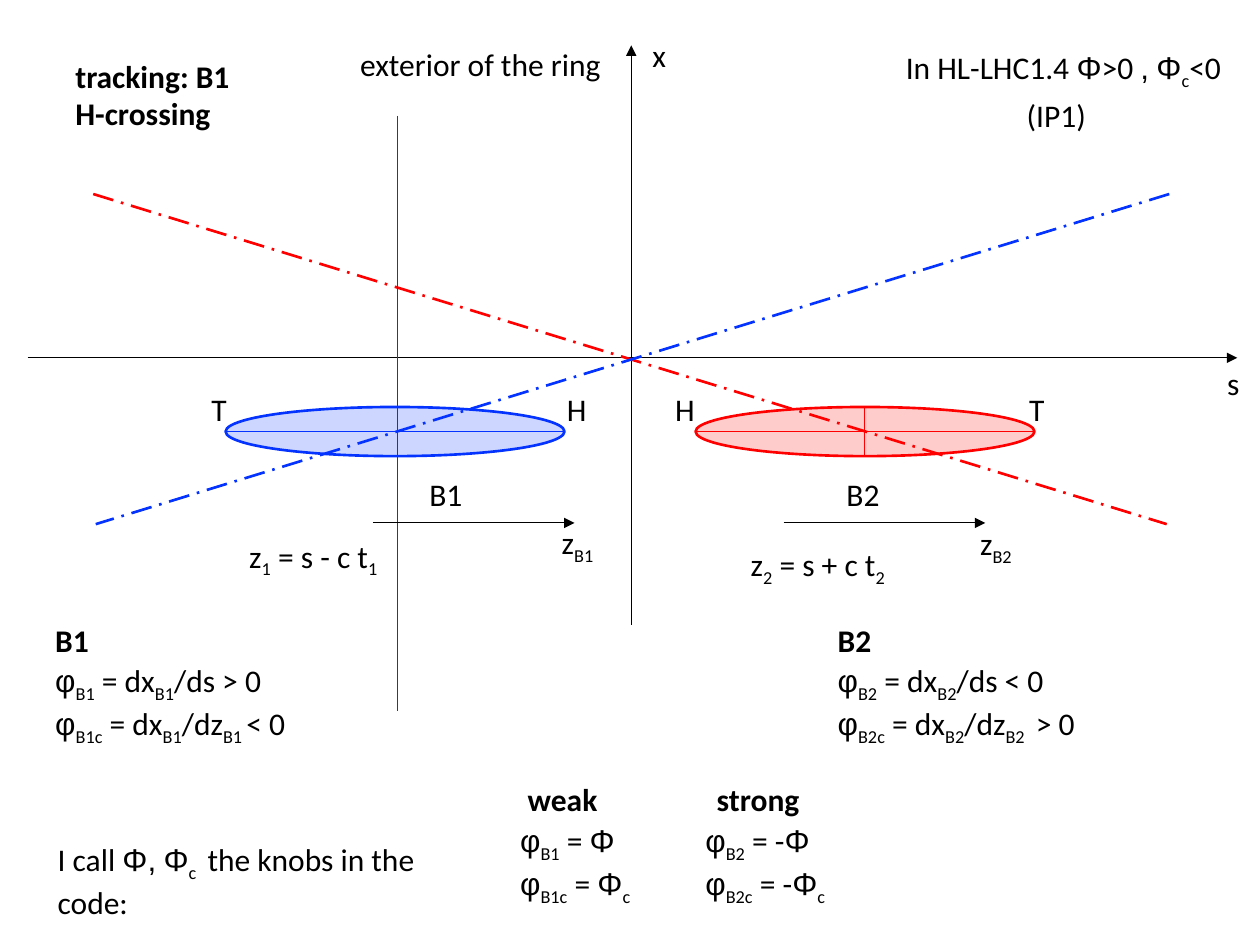
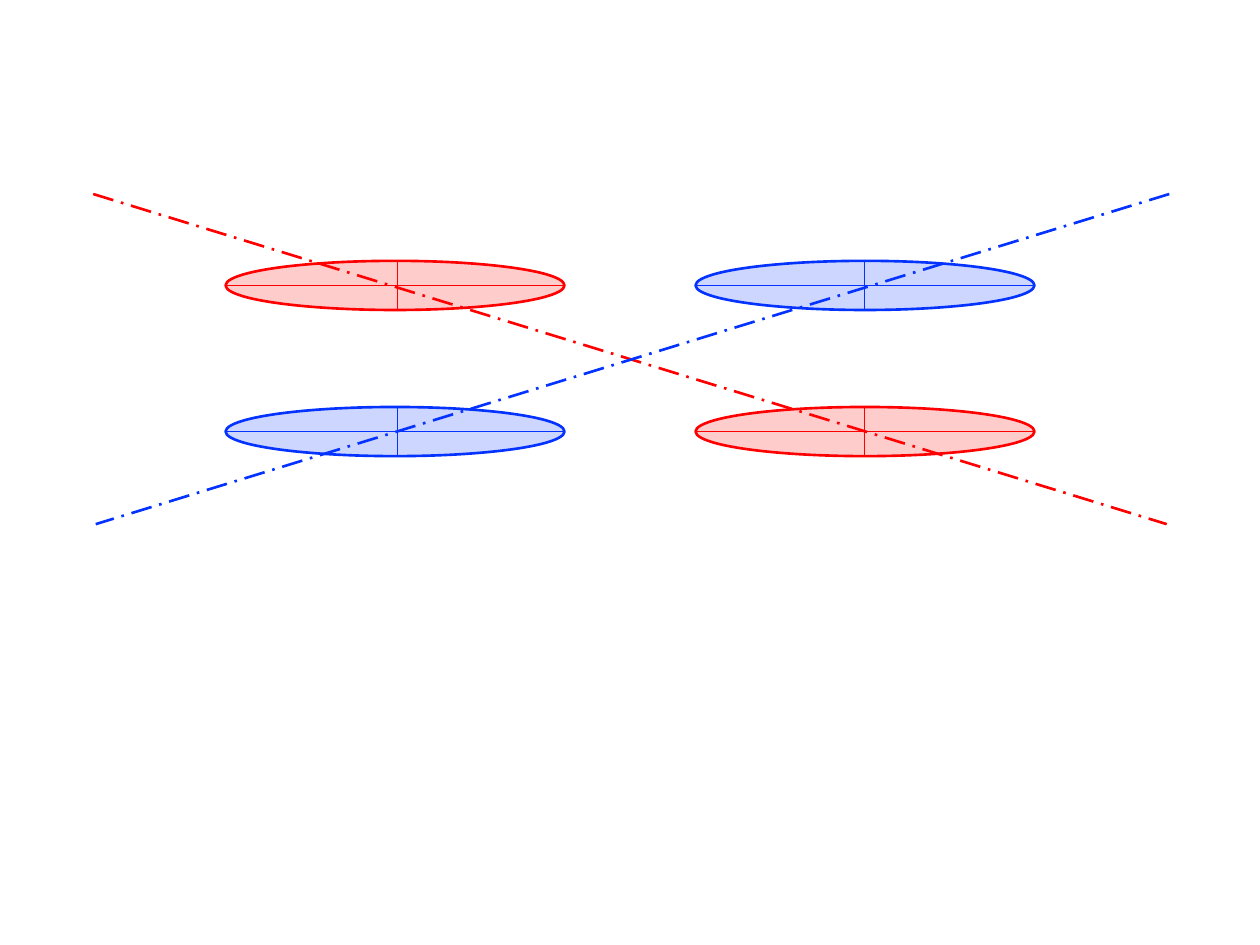
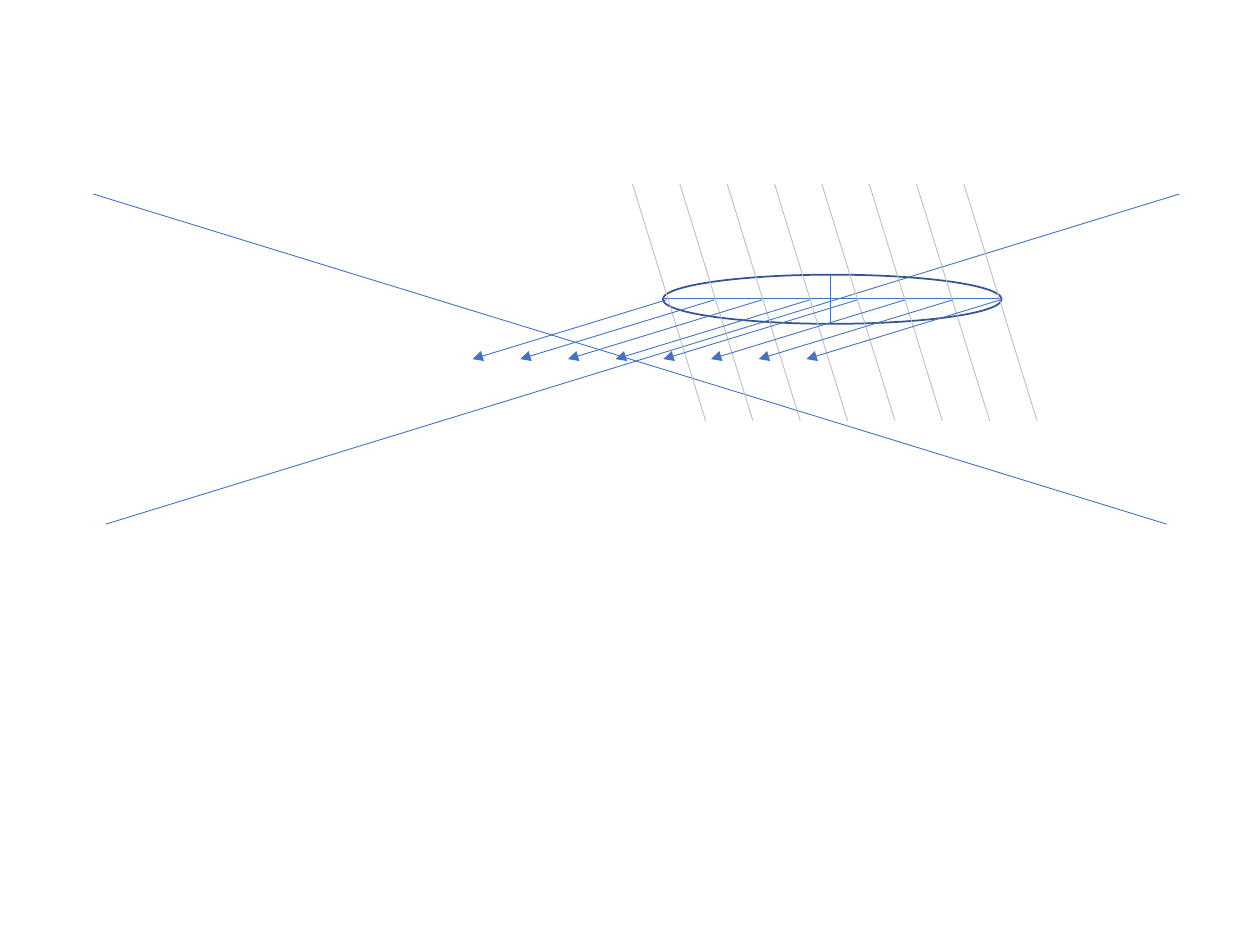
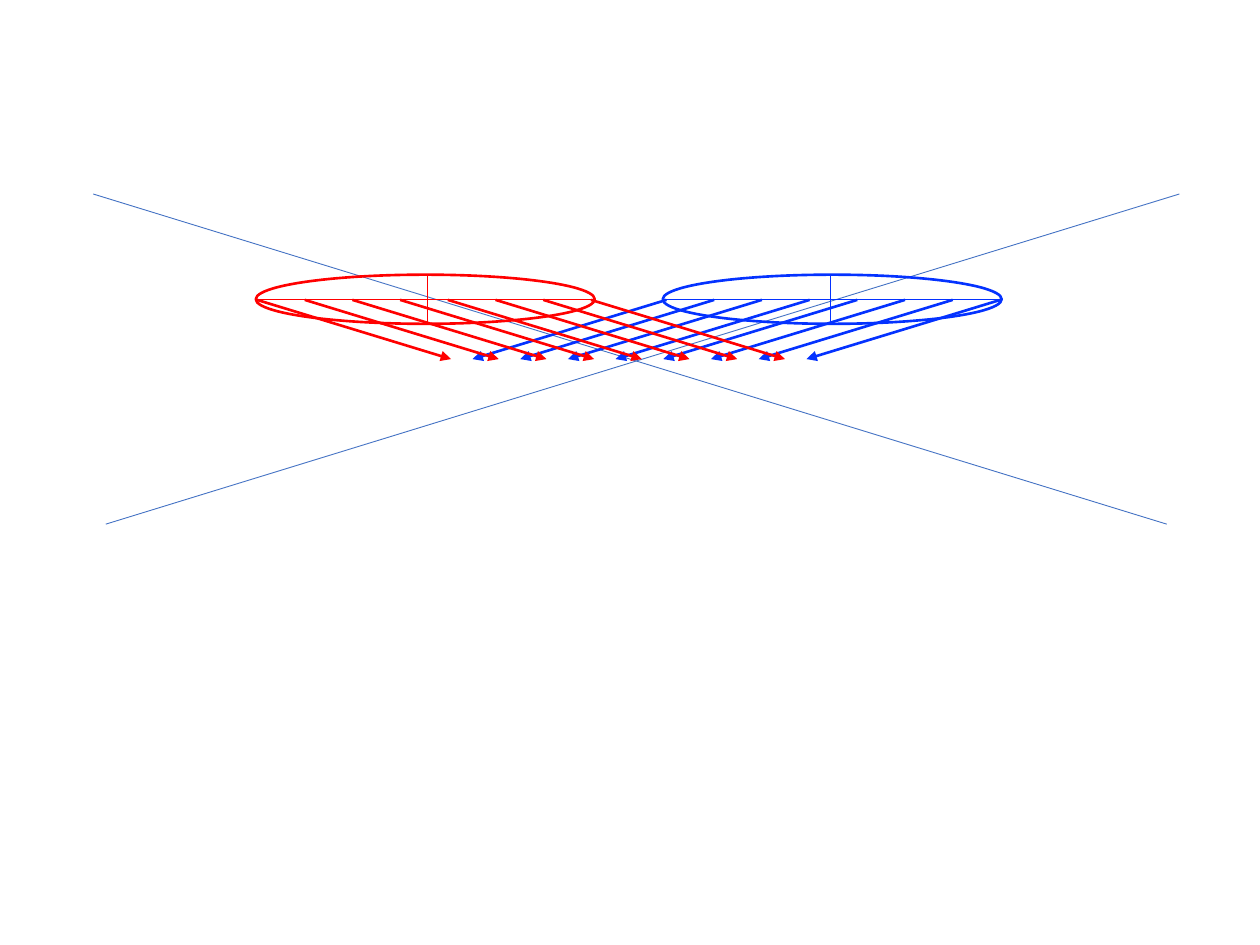
from itertools import groupby

from lxml.etree import SubElement
from pptx import Presentation
from pptx.dml.color import RGBColor
from pptx.enum.dml import MSO_LINE
from pptx.enum.shapes import MSO_CONNECTOR, MSO_SHAPE
from pptx.enum.text import MSO_AUTO_SIZE
from pptx.oxml.ns import qn
from pptx.util import Inches, Pt

COLORS = {
    "black": "000000",
    "red": "FF0000",
    "blue": "0432FF",
    "steel": "4472C4",
    "navy": "325491",
    "grey": "BFBFBF",
}
COLUMNS, ROWS = 10, 7.5
SYMBOLS = "φΦ,"
BUNCH_WIDTH, BUNCH_HEIGHT = 2.69, 0.39
LEFT, RIGHT = 1.79, 5.52        # bunch columns, slides 1 and 2
UPPER, LOWER = 2.07, 3.23       # bunch rows, slides 1 and 2
MIRROR = 9.98                   # sum of a column and its mirrored column


def color(name):
    """Return the named colour."""
    return RGBColor.from_string(COLORS[name])


def spread(first, last, count):
    """Return evenly spaced values from first to last."""
    return [first + (last - first) * i / (count - 1) for i in range(count)]


class Diagram:
    """Holds the shared style and the slide being drawn."""

    font, symbol_font, size = "Calibri", "Arial", 18
    thin, axis, thick = 0.25, 0.5, 1.5

    def __init__(self, presentation):
        self.presentation = presentation
        self.column = presentation.slide_width / COLUMNS
        self.row = presentation.slide_height / ROWS
        self.shapes = None

    def new_slide(self):
        """Start a blank slide."""
        layout = self.presentation.slide_layouts[6]
        self.slide = self.presentation.slides.add_slide(layout)
        self.shapes = self.slide.shapes

    def open_group(self):
        """Draw the next elements into a new group."""
        self.shapes = self.slide.shapes.add_group_shape().shapes

    def close_group(self):
        """Draw the next elements straight onto the slide."""
        self.shapes = self.slide.shapes

    def place(self, *lengths):
        """Turn alternating columns and rows into slide units."""
        return [round(length * (self.row if i % 2 else self.column))
                for i, length in enumerate(lengths)]

    def line(self, start, end, name, width, dash=None, arrow=False):
        """Draw a straight line, dashed or with an arrowhead if asked."""
        connector = self.shapes.add_connector(
            MSO_CONNECTOR.STRAIGHT, *self.place(*start, *end))
        connector.line.color.rgb = color(name)
        connector.line.width = Pt(width)
        if dash:
            connector.line.dash_style = dash
        properties = connector._element.spPr
        if arrow:
            SubElement(properties.find(qn("a:ln")), qn("a:tailEnd"), type="triangle")
        SubElement(properties, qn("a:effectLst"))

    def ellipse(self, left, top, name, width, filled):
        """Draw a bunch outline, with a translucent fill if asked."""
        shape = self.shapes.add_shape(
            MSO_SHAPE.OVAL, *self.place(left, top, BUNCH_WIDTH, BUNCH_HEIGHT))
        shape.shadow.inherit = False
        shape.line.color.rgb = color(name)
        shape.line.width = Pt(width)
        if filled:
            shape.fill.solid()
            shape.fill.fore_color.rgb = color(name)
            fill = shape._element.spPr.find(qn("a:solidFill"))
            SubElement(fill[0], qn("a:alpha"), val="20000")
        else:
            shape.fill.background()

    def bunch(self, left, top, name, cross, span=None, filled=True):
        """Draw an ellipse with its long axis and a cross line at a column."""
        middle = top + BUNCH_HEIGHT / 2
        first, last = span or (top, top + BUNCH_HEIGHT)
        self.ellipse(left, top, name, self.thick, filled)
        self.line((left, middle), (left + BUNCH_WIDTH, middle), name, self.thin)
        self.line((cross, first), (cross, last), name, self.thin)

    def grouped_bunch(self, *arguments, **options):
        """Draw a bunch as a group of its own."""
        self.open_group()
        self.bunch(*arguments, **options)
        self.close_group()

    def beams(self, right, names, width, dash=None):
        """Draw the two crossing beam lines."""
        self.line((0.74, 1.54), (9.26, 4.16), names[0], width, dash)
        self.line((right, 1.54), (right - 8.52, 4.16), names[1], width, dash)

    def kicks(self, name, width, mirrored=False):
        """Draw the eight parallel arrows that leave a bunch."""
        for start in spread(5.29, 7.94, 8):
            ends = start, start - 1.54
            if mirrored:
                ends = [MIRROR - end for end in ends]
            self.line((ends[0], 2.38), (ends[1], 2.85), name, width, arrow=True)

    def run(self, paragraph, text, font, bold, subscript):
        """Add one formatted run."""
        run = paragraph.add_run()
        run.text = text
        run.font.name = font
        run.font.size = Pt(self.size)
        run.font.bold = bold
        run.font.color.rgb = color("black")
        if subscript:
            run._r.get_or_add_rPr().set("baseline", "-25000")

    def text(self, left, top, width, *lines, bold=None, wrap=False):
        """Write lines of text; square brackets mark subscripts."""
        height = 0.4 if len(lines) == 1 else 0.71
        box = self.shapes.add_textbox(*self.place(left, top, width, height))
        frame = box.text_frame
        frame.word_wrap = wrap
        frame.auto_size = MSO_AUTO_SIZE.SHAPE_TO_FIT_TEXT
        for number, line in enumerate(lines):
            paragraph = frame.add_paragraph() if number else frame.paragraphs[0]
            for index, piece in enumerate(line.replace("]", "[").split("[")):
                for symbol, letters in groupby(piece, lambda letter: letter in SYMBOLS):
                    font = self.symbol_font if symbol else self.font
                    self.run(paragraph, "".join(letters), font, bold, index % 2 == 1)


def draw_definitions(diagram):
    """Slide 1: axes, both bunches and the angle conventions."""
    diagram.new_slide()
    diagram.line((5.01, 4.96), (5.01, 0.36), "black", diagram.axis, arrow=True)
    diagram.line((0.22, 2.84), (9.82, 2.84), "black", diagram.axis, arrow=True)
    diagram.beams(9.28, ("red", "blue"), diagram.thick, MSO_LINE.LONG_DASH_DOT)
    diagram.grouped_bunch(LEFT, LOWER, "blue", 3.15, span=(0.92, 5.64))
    diagram.grouped_bunch(RIGHT, LOWER, "red", 6.86)
    for start in (2.96, 6.22):
        diagram.line((start, 4.15), (start + 1.6, 4.15), "black", diagram.axis, arrow=True)

    for left, top, width, *lines in (
        (0.5, 0.4, 1.44, "tracking: B1", "H-crossing"),
        (0.34, 4.88, 0.47, "B1"),
        (6.55, 4.88, 0.47, "B2"),
        (4.09, 6.14, 0.76, "weak"),
        (5.59, 6.14, 0.86, "strong"),
    ):
        diagram.text(left, top, width, *lines, bold=True)

    for left, top, width, line in (
        (5.08, 0.24, 0.31, "x"),
        (9.64, 2.84, 0.31, "s"),
        (3.31, 3.72, 0.47, "B1"),
        (6.62, 3.72, 0.47, "B2"),
        (4.36, 4.1, 0.48, "z[B1]"),
        (7.68, 4.11, 0.48, "z[B2]"),
        (0.36, 6.62, 3.54, "I call Φ, Φ[c ] the knobs in the code:"),
        (2.76, 0.31, 2.13, "exterior of the ring"),
        (7.09, 0.33, 2.79, "In HL-LHC1.4 Φ>0 , Φ[c]<0 "),
        (8.05, 0.71, 0.68, "(IP1)"),
        (1.88, 4.21, 1.3, "z[1] = s - c t[1]"),
        (5.86, 4.28, 1.3, "z[2] = s + c t[2]"),
        (1.58, 3.05, 0.32, "T"),
        (4.4, 3.05, 0.36, "H"),
        (5.26, 3.05, 0.36, "H"),
        (8.07, 3.05, 0.32, "T"),
    ):
        diagram.text(left, top, width, line)

    for left, top, width, *lines in (
        (0.34, 5.2, 2.3, "φ[B1] = dx[B1]/ds > 0", "φ[B1c] = dx[B1]/dz[B1 ]< 0"),
        (6.55, 5.2, 2.23, "φ[B2] = dx[B2]/ds < 0", "φ[B2c] = dx[B2]/dz[B2 ] > 0"),
        (4.03, 6.47, 2.3, "φ[B1] = Φ", "φ[B1c] = Φ[c]"),
        (5.5, 6.47, 2.23, "φ[B2] = -Φ ", "φ[B2c] = -Φ[c]"),
    ):
        diagram.text(left, top, width, *lines, wrap=True)


def draw_four_bunches(diagram):
    """Slide 2: both bunches before and after the crossing."""
    diagram.new_slide()
    diagram.beams(9.28, ("red", "blue"), diagram.thick, MSO_LINE.LONG_DASH_DOT)
    for top, left_name, right_name in ((UPPER, "red", "blue"), (LOWER, "blue", "red")):
        diagram.grouped_bunch(LEFT, top, left_name, 3.15)
        diagram.grouped_bunch(RIGHT, top, right_name, 6.86)


def draw_slices(diagram):
    """Slide 3: one bunch cut into slices."""
    diagram.new_slide()
    diagram.beams(9.36, ("steel", "steel"), diagram.axis)
    diagram.ellipse(5.26, 2.18, "navy", 1, filled=False)
    diagram.line((5.26, 2.37), (7.95, 2.37), "steel", diagram.axis)
    diagram.line((6.59, 2.18), (6.59, 2.57), "steel", diagram.axis)
    for foot in spread(5.6, 8.23, 8):
        diagram.line((foot, 3.34), (foot - 0.58, 1.46), "grey", diagram.axis)
    diagram.kicks("steel", diagram.axis)


def draw_two_sliced_bunches(diagram):
    """Slide 4: both bunches with the motion of their slices."""
    diagram.new_slide()
    diagram.beams(9.36, ("steel", "steel"), diagram.axis)
    for left, name, cross, mirrored in (
        (5.26, "blue", 6.59, False),
        (2.03, "red", 3.39, True),
    ):
        diagram.open_group()
        diagram.bunch(left, 2.18, name, cross, filled=False)
        diagram.kicks(name, diagram.thick, mirrored)
        diagram.close_group()


def main():
    """Build and save the presentation."""
    presentation = Presentation()
    presentation.slide_width = Inches(10)
    presentation.slide_height = Inches(7.5)
    diagram = Diagram(presentation)
    draw_definitions(diagram)
    draw_four_bunches(diagram)
    draw_slices(diagram)
    draw_two_sliced_bunches(diagram)
    presentation.save("out.pptx")


main()
